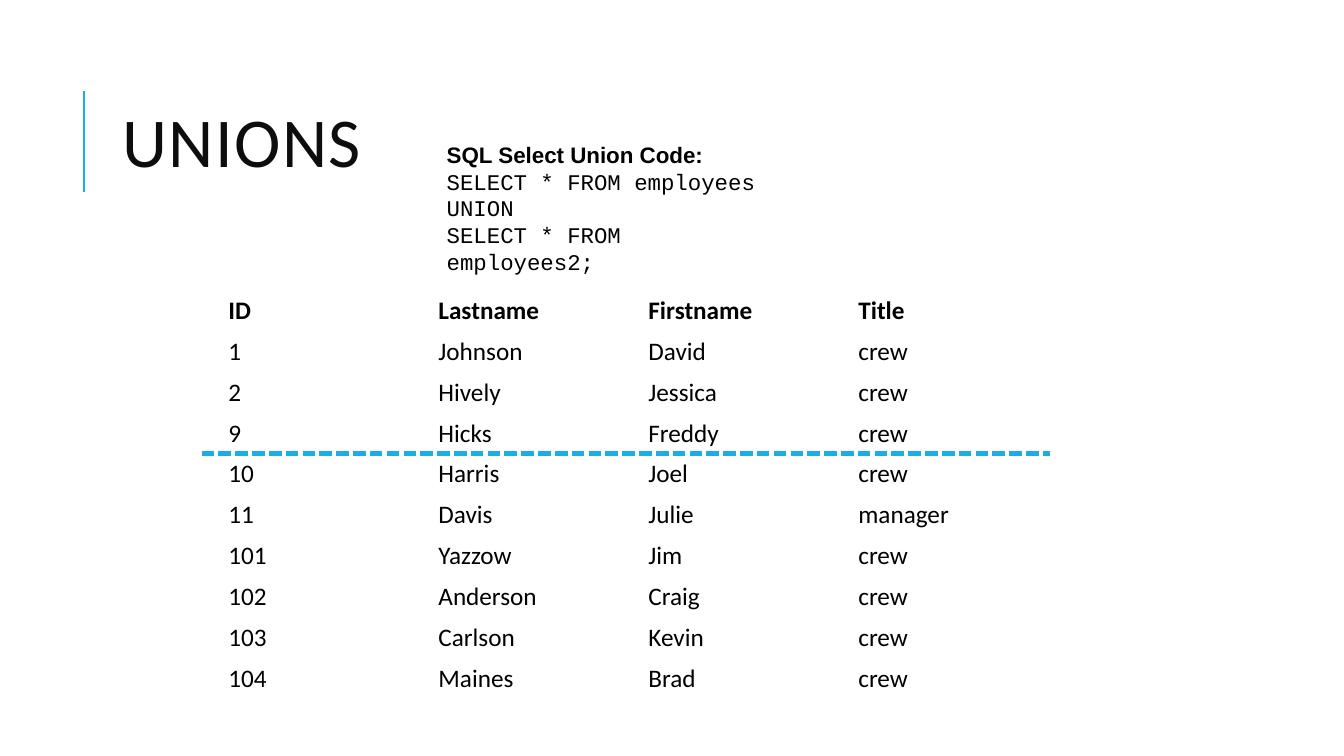
from lxml import etree
from pptx import Presentation
from pptx.dml.color import RGBColor
from pptx.enum.dml import MSO_LINE
from pptx.enum.shapes import MSO_CONNECTOR
from pptx.enum.text import MSO_ANCHOR
from pptx.oxml.ns import qn
from pptx.util import Pt

STRAIGHT = MSO_CONNECTOR.STRAIGHT
SYSTEM_DASH = MSO_LINE.SQUARE_DOT
MIDDLE = MSO_ANCHOR.MIDDLE
TOP = MSO_ANCHOR.TOP

ACCENT = RGBColor(0x1C, 0xAD, 0xE4)
TITLE_COLOR = RGBColor(0x0D, 0x0D, 0x0D)
BLACK = RGBColor(0, 0, 0)

EMPLOYEE_ROWS = [
    ("ID", "Lastname", "Firstname", "Title"),
    ("1", "Johnson", "David", "crew"),
    ("2", "Hively", "Jessica", "crew"),
    ("9", "Hicks", "Freddy", "crew"),
    ("10", "Harris", "Joel", "crew"),
    ("11", "Davis", "Julie", "manager"),
    ("101", "Yazzow", "Jim", "crew"),
    ("102", "Anderson", "Craig", "crew"),
    ("103", "Carlson", "Kevin", "crew"),
    ("104", "Maines", "Brad", "crew"),
]
CODE_LINES = [
    "SQL Select Union Code:",
    "SELECT * FROM employees",
    "UNION",
    "SELECT * FROM employees2;",
]


def format_paragraph(paragraph, font_name, size, color, bold=False):
    for run in paragraph.runs:
        run.font.name = font_name
        run.font.size = Pt(size)
        run.font.color.rgb = color
        run.font.bold = bold


def add_line(slide, start, end, width, dash=None):
    line = slide.shapes.add_connector(STRAIGHT, *map(Pt, start + end))
    line.line.color.rgb = ACCENT
    line.line.width = Pt(width)
    if dash is not None:
        line.line.dash_style = dash
    etree.SubElement(line._element.spPr, qn("a:effectLst"))


def add_text_frame(slide, box, text, anchor):
    text_frame = slide.shapes.add_textbox(*map(Pt, box)).text_frame
    text_frame.word_wrap = True
    text_frame.vertical_anchor = anchor
    text_frame.text = text
    return text_frame


def add_title(slide, box):
    left, top, width, height = box
    bar_left = left - 20.6
    bar_top = top + 18.7
    add_line(slide, (bar_left, bar_top + 72), (bar_left, bar_top), 1.5)
    paragraph = add_text_frame(slide, box, "UNIONS", MIDDLE).paragraphs[0]
    paragraph.line_spacing = 0.8
    format_paragraph(paragraph, "Calibri", 50, TITLE_COLOR)
    paragraph.runs[0].font._element.set("spc", "100")


def add_code(slide, box):
    text_frame = add_text_frame(slide, box, "\n".join(CODE_LINES), TOP)
    heading, *statements = text_frame.paragraphs
    format_paragraph(heading, "Arial", 16, BLACK, bold=True)
    for statement in statements:
        format_paragraph(statement, "Courier New", 16, BLACK)


def add_employee_table(slide, box):
    left, top, width, height = box
    row_count, column_count = len(EMPLOYEE_ROWS), len(EMPLOYEE_ROWS[0])
    table = slide.shapes.add_table(row_count, column_count, *map(Pt, box)).table
    table.first_row = False
    table.horz_banding = False
    for row_index, values in enumerate(EMPLOYEE_ROWS):
        table.rows[row_index].height = Pt(height / row_count)
        for column_index, value in enumerate(values):
            cell = table.cell(row_index, column_index)
            cell.fill.background()
            cell.vertical_anchor = MIDDLE
            cell.text = value
            paragraph = cell.text_frame.paragraphs[0]
            format_paragraph(paragraph, "Calibri", 18, BLACK, bold=row_index == 0)
    divider_top = top + 116.6
    add_line(slide, (left - 12, divider_top), (left + width - 6, divider_top), 3, SYSTEM_DASH)


def main():
    presentation = Presentation()
    presentation.slide_width = Pt(960)
    presentation.slide_height = Pt(540)
    slide = presentation.slides.add_slide(presentation.slide_layouts[6])
    add_title(slide, (80.6, 46.1, 765.4, 118))
    add_employee_table(slide, (156, 207.4, 600, 292))
    add_code(slide, (312, 97, 240.5, 106.6))
    presentation.save("out.pptx")


if __name__ == "__main__":
    main()
